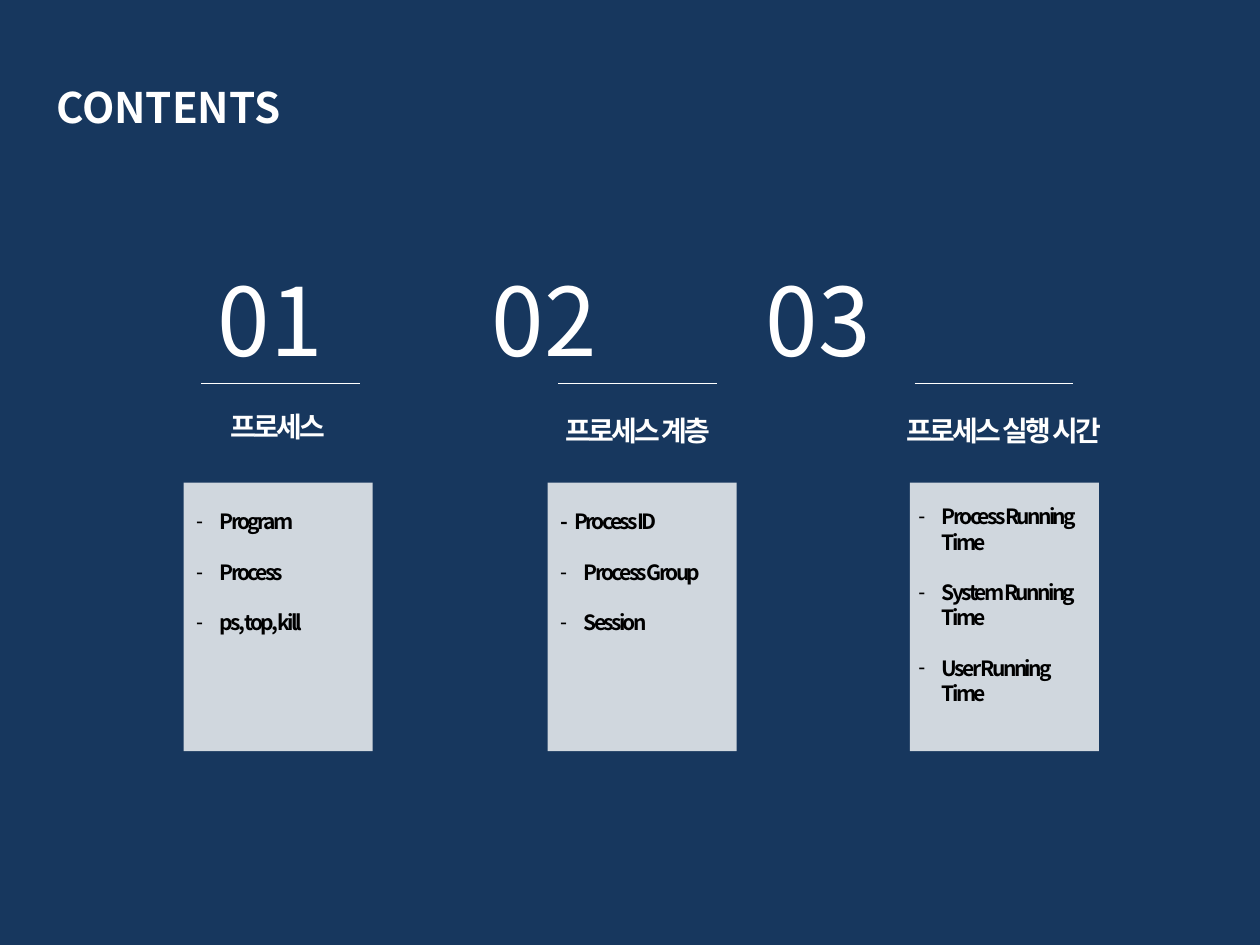
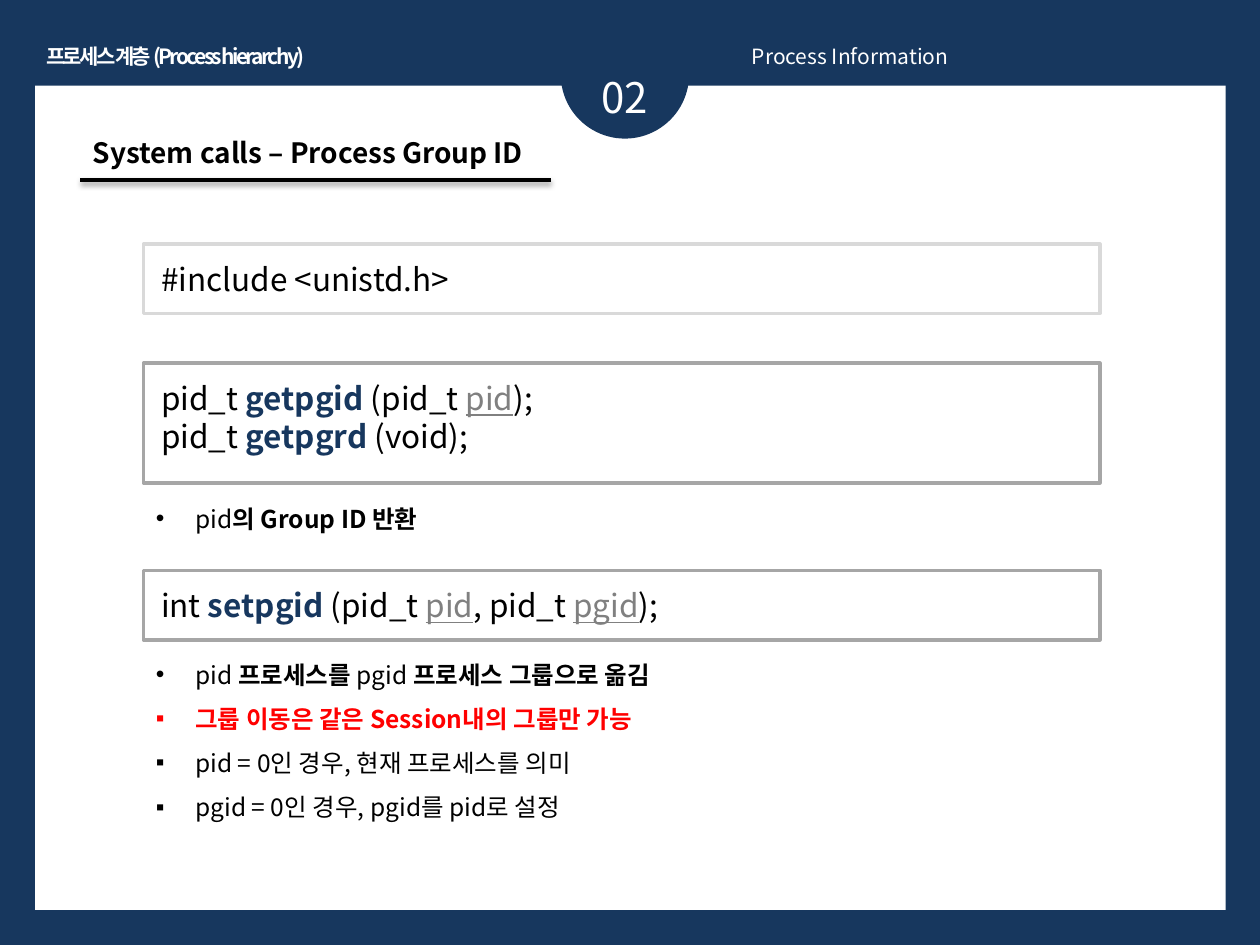
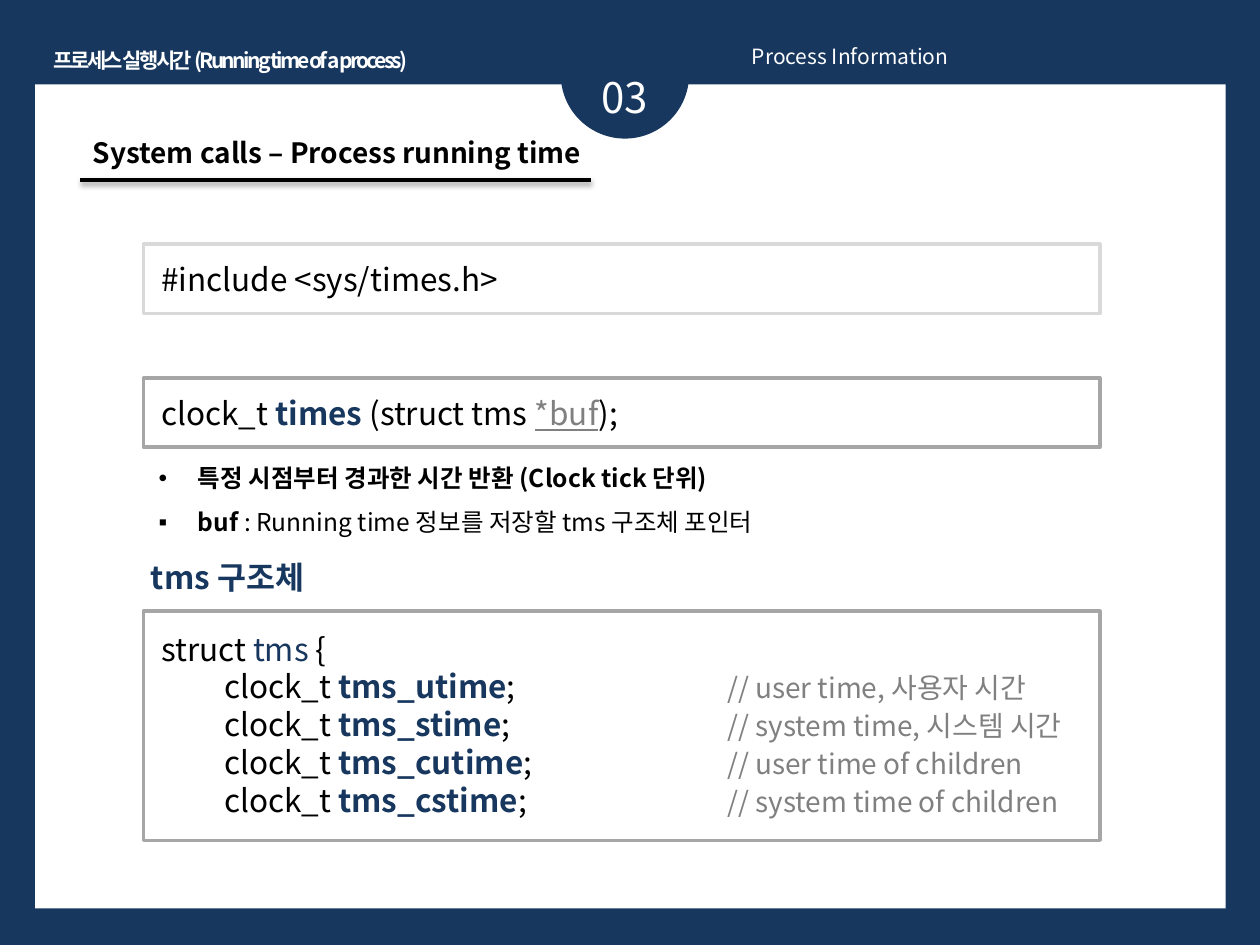
"""Build a contents page and two system call pages about processes."""
from lxml.etree import SubElement
from pptx import Presentation
from pptx.dml.color import RGBColor
from pptx.enum.shapes import MSO_CONNECTOR, MSO_SHAPE
from pptx.enum.text import MSO_ANCHOR, MSO_AUTO_SIZE, PP_ALIGN
from pptx.oxml.ns import qn
from pptx.util import Pt

NAVY, WHITE, BLACK = "17375E", "FFFFFF", "000000"
GRAY, PALE, DARK, RED = "A6A6A6", "D9D9D9", "808080", "FF0000"
FONT = "Noto Sans CJK KR"

STYLES = {
    "plain": {},
    "bold": {"bold": True},
    "name": {"bold": True, "color": NAVY},
    "type": {"color": NAVY},
    "parameter": {"underline": True, "color": DARK},
    "comment": {"size": 16, "color": DARK},
    "warning": {"bold": True, "color": RED},
}

NUMBERS = "01\t02\t03"
TOPICS = [
    {"heading": "프로세스", "heading_at": (88, 230.5, 142), "rule": 115, "card": 105,
     "items_at": (105, 287.3), "items": ["Program", "Process", "ps, top, kill"]},
    {"heading": "프로세스 계층", "heading_at": (309, 232.5, 111), "rule": 319, "card": 313,
     "items_at": (313, 287.3), "items": ["-\tProcess ID", "Process Group", "Session"]},
    {"heading": "프로세스 실행 시간", "heading_at": (502.5, 232.5, 142), "rule": 522.7, "card": 520,
     "items_at": (517.7, 284.4),
     "items": ["Process Running Time", "System Running Time", "User Running Time"]},
]

FIELDS = [
    ("tms_utime", "// user time, 사용자 시간"),
    ("tms_stime", "// system time, 시스템 시간"),
    ("tms_cutime", "// user time of children"),
    ("tms_cstime", "// system time of children"),
]
STRUCT = [[("struct ", "plain"), ("tms", "type"), (" {", "plain")]] + [
    [("\tclock_t ", "plain"), (field, "name"), (";\t", "plain"), (meaning, "comment")]
    for field, meaning in FIELDS]

CALL_PAGES = [
    {"number": "02", "chapter": "프로세스 계층 (Process hierarchy) ", "chapter_at": (17.3, 21.6, 167),
     "panel_top": 49, "title": "System calls – Process Group ID", "rule_end": 314.6,
     "code": [
         (139.5, 39.6, PALE, [[("#include <unistd.h>", "plain")]]),
         (207.5, 68.4, GRAY, [
             [("pid_t ", "plain"), ("getpgid", "name"), (" (pid_t ", "plain"),
              ("pid", "parameter"), (");", "plain")],
             [("pid_t ", "plain"), ("getpgrd", "name"), (" (void);", "plain")]]),
         (326, 39.6, GRAY, [
             [("int ", "plain"), ("setpgid", "name"), (" (pid_t ", "plain"), ("pid", "parameter"),
              (", pid_t ", "plain"), ("pgid", "parameter"), (");", "plain")]]),
     ],
     "notes": [
         (82, 275.8, [[("pid", "plain"), ("의 Group ID 반환", "bold")]]),
         (82, 365, [
             [("pid ", "plain"), ("프로세스를 ", "bold"), ("pgid ", "plain"),
              ("프로세스 그룹으로 옮김", "bold")],
             [("그룹 이동은 같은 Session내의 그룹만 가능", "warning")],
             [("pid = 0인 경우, 현재 프로세스를 의미", "plain")],
             [("pgid = 0인 경우, pgid를 pid로 설정", "plain")]]),
     ]},
    {"number": "03", "chapter": "프로세스 실행시간 (Running time of a process)",
     "chapter_at": (19.4, 23.8, 225), "panel_top": 48.2,
     "title": "System calls – Process running time", "rule_end": 337.7,
     "code": [
         (139.5, 39.6, PALE, [[("#include <sys/times.h>", "plain")]]),
         (216, 39.6, GRAY, [
             [("clock_t ", "plain"), ("times", "name"), (" (struct tms ", "plain"),
              ("*buf", "parameter"), (");", "plain")]]),
         (349.2, 131, GRAY, STRUCT),
     ],
     "notes": [
         (83.5, 252.7, [
             [("특정 시점부터 경과한 시간 반환 (Clock tick 단위)", "bold")],
             [("buf", "bold"), (" : Running time 정보를 저장할 tms 구조체 포인터", "plain")]]),
     ],
     "subtitle": "tms 구조체"},
]


def color_of(value):
    return RGBColor.from_string(value)


def add_page(deck):
    page = deck.slides.add_slide(deck.slide_layouts[6])
    page.background.fill.solid()
    page.background.fill.fore_color.rgb = color_of(NAVY)
    return page


def add_block(page, kind, left, top, width, height, fill, line=None, opacity=None):
    block = page.shapes.add_shape(kind, Pt(left), Pt(top), Pt(width), Pt(height))
    block.shadow.inherit = False
    block.fill.solid()
    block.fill.fore_color.rgb = color_of(fill)
    if opacity:
        color = block.fill._xPr.find(".//" + qn("a:srgbClr"))
        SubElement(color, qn("a:alpha"), val=str(opacity * 1000))
    if line:
        block.line.color.rgb = color_of(line)
        block.line.width = Pt(2)
    else:
        block.line.fill.background()


def add_rule(page, left, right, top, color, weight, shadow=False):
    rule = page.shapes.add_connector(MSO_CONNECTOR.STRAIGHT, Pt(left), Pt(top), Pt(right), Pt(top))
    rule.line.color.rgb = color_of(color)
    rule.line.width = Pt(weight)
    effects = SubElement(rule._element.spPr, qn("a:effectLst"))
    if shadow:
        outer = SubElement(effects, qn("a:outerShdw"), blurRad=str(Pt(3.1)), dist=str(Pt(1.6)),
                           dir="5400000", rotWithShape="0")
        SubElement(SubElement(outer, qn("a:srgbClr"), val=BLACK), qn("a:alpha"), val="38000")


def add_text(page, left, top, width, height, lines, size, color=BLACK, bold=False,
             font=FONT, align=None, spacing=None, wrap=True):
    box = page.shapes.add_textbox(Pt(left), Pt(top), Pt(width), Pt(height))
    frame = box.text_frame
    frame.word_wrap = wrap
    frame.auto_size = MSO_AUTO_SIZE.SHAPE_TO_FIT_TEXT
    frame.vertical_anchor = MSO_ANCHOR.TOP
    for index, line in enumerate(lines):
        para = frame.paragraphs[0] if index == 0 else frame.add_paragraph()
        para.alignment = align
        for text, style in ([(line, "plain")] if isinstance(line, str) else line):
            look = STYLES[style]
            span = para.add_run()
            span.text = text
            span.font.name = font
            span.font.size = Pt(look.get("size", size))
            span.font.bold = look.get("bold", bold)
            span.font.underline = look.get("underline")
            span.font.color.rgb = color_of(look.get("color", color))
            properties = span.font._element
            SubElement(properties, qn("a:ea"), typeface=FONT)
            if spacing:
                properties.set("spc", str(int(spacing * 100)))
    return frame.paragraphs


def set_hanging(para, indent, bullet=None):
    properties = para._p.get_or_add_pPr()
    properties.set("marL", str(Pt(indent)))
    properties.set("indent", str(-Pt(indent)))
    if bullet:
        SubElement(properties, qn("a:buFont"), typeface="Arial")
        SubElement(properties, qn("a:buChar"), char=bullet)


def set_tabs(para, stops):
    tabs = SubElement(para._p.get_or_add_pPr(), qn("a:tabLst"))
    for stop in stops:
        SubElement(tabs, qn("a:tab"), pos=str(Pt(stop)), algn="l")


def build_contents(deck):
    page = add_page(deck)
    add_text(page, 25, 43, 329, 36, ["CONTENTS"], 24, WHITE, bold=True)
    numbers = add_text(page, 117.4, 146, 499, 72.7, [NUMBERS], 54, WHITE)
    set_tabs(numbers[0], (156.6, 313.2))
    for topic in TOPICS:
        add_block(page, MSO_SHAPE.RECTANGLE, topic["card"], 275.8, 108, 153.4, WHITE, opacity=80)
        add_rule(page, topic["rule"], topic["rule"] + 90.7, 219, WHITE, 0.75)
        add_text(page, *topic["heading_at"], 26.6, [topic["heading"]], 16, WHITE, bold=True,
                 font="Arial", align=PP_ALIGN.CENTER, spacing=-1.5)
        items = add_text(page, *topic["items_at"], 108, 80, topic["items"], 12, bold=True, spacing=-1.5)
        for index, para in enumerate(items):
            para.space_before = Pt(14.4 if index else 0)
            if "\t" in para.text:
                set_hanging(para, 8)
            else:
                set_hanging(para, 13.5, "-")


def build_calls(deck, content):
    page = add_page(deck)
    add_block(page, MSO_SHAPE.RECTANGLE, 20, content["panel_top"], 680.4, 471, WHITE)
    add_block(page, MSO_SHAPE.OVAL, 320.4, 5.8, 73.4, 73.4, NAVY)
    add_text(page, *content["chapter_at"], 21.6, [content["chapter"]], 12, WHITE, bold=True,
             align=PP_ALIGN.CENTER, spacing=-1.5, wrap=False)
    add_text(page, 314.6, 37.4, 85, 36, [content["number"]], 24, WHITE, align=PP_ALIGN.CENTER)
    add_text(page, 422.6, 21.6, 283.7, 21.6, ["Process Information"], 12, WHITE, align=PP_ALIGN.JUSTIFY)
    add_text(page, 46, 74.2, 296.6, 26.6, [content["title"]], 16, bold=True)
    add_rule(page, 46, content["rule_end"], 103, BLACK, 2, shadow=True)
    for top, height, border, lines in content["code"]:
        add_block(page, MSO_SHAPE.RECTANGLE, 82, top, 546.5, height, WHITE, border)
        inset = 7 if lines is STRUCT else 5.5
        code = add_text(page, 85, top + inset, 589.7, 7.2 + 21.6 * len(lines), lines, 18)
        for para in code:
            if "\t" in para.text:
                set_tabs(para, (36, 323.5))
    for left, top, lines in content["notes"]:
        notes = add_text(page, left, top, 546.5, 7.2 + 25.2 * len(lines), lines, 14)
        for index, para in enumerate(notes):
            para.line_spacing = 1.5
            set_hanging(para, 22.5, "▪" if index else "•")
    if "subtitle" in content:
        add_text(page, 79.2, 315.4, 360, 28.8, [content["subtitle"]], 18, NAVY, bold=True)


deck = Presentation()
deck.slide_width, deck.slide_height = Pt(720), Pt(540)
build_contents(deck)
for call_page in CALL_PAGES:
    build_calls(deck, call_page)
deck.save("out.pptx")
